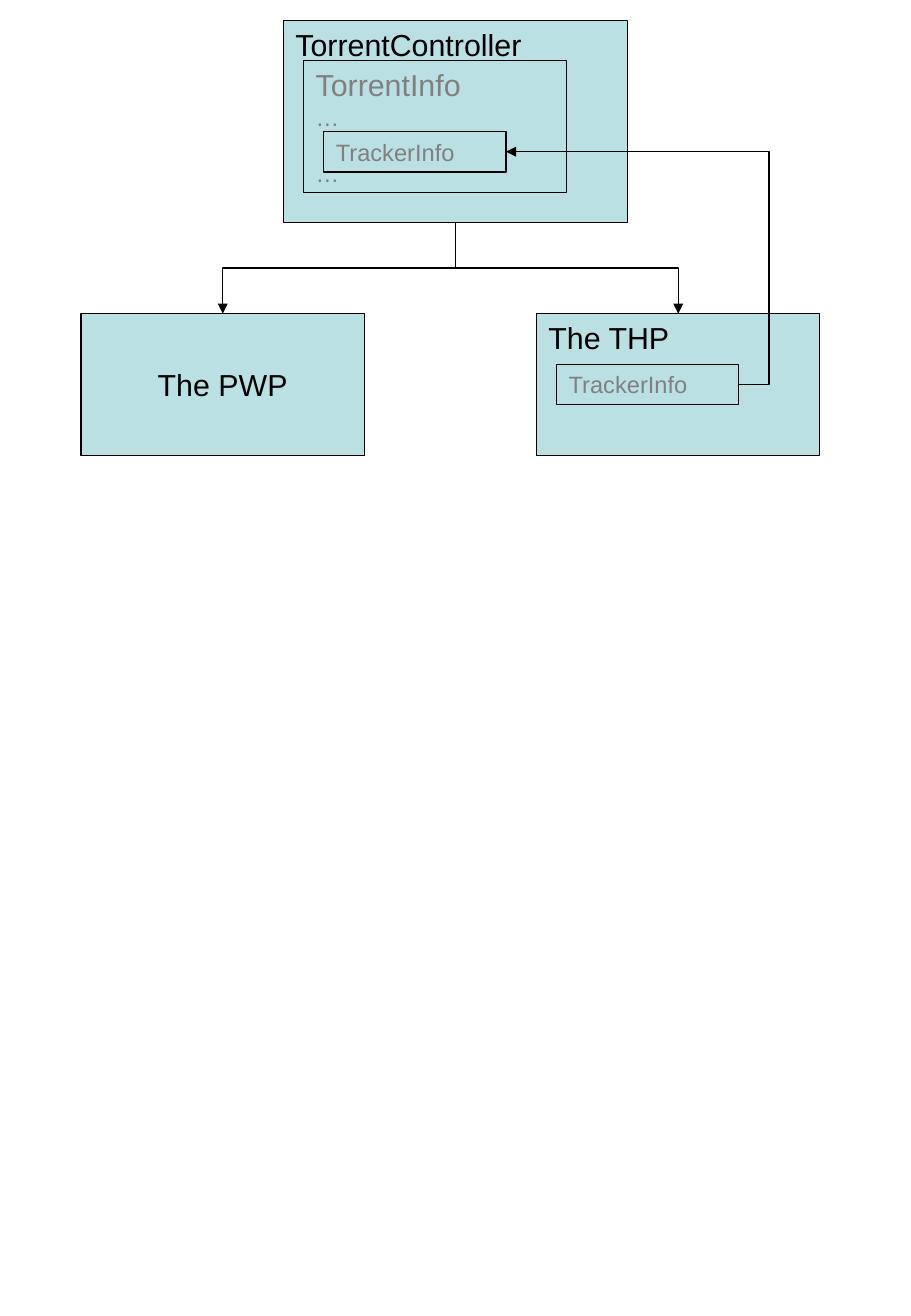
import dataclasses

import pptx
import pptx.dml.color
import pptx.enum.shapes
import pptx.enum.text
import pptx.oxml.ns
import pptx.util
from lxml import etree

Pt = pptx.util.Pt
RGB = pptx.dml.color.RGBColor
Align = pptx.enum.text.PP_ALIGN
Anchor = pptx.enum.text.MSO_ANCHOR
qn = pptx.oxml.ns.qn
TOP, BOTTOM, RIGHT = 0, 2, 3  # connection sites of a rectangle


@dataclasses.dataclass(frozen=True)
class Theme:
    font: str = "Arial"
    fill: RGB = RGB(0xBB, 0xE0, 0xE3)
    ink: RGB = RGB(0, 0, 0)
    gray: RGB = RGB(0x80, 0x80, 0x80)
    large: int = 18
    small: int = 14
    line: float = 0.75


THEME = Theme()


def apply(target, values):
    for name, value in values.items():
        setattr(target, name, value)


def stroke(line):
    line.color.rgb = THEME.ink
    line.width = Pt(THEME.line)


def write(para, text, size, color, **form):
    para.text = text
    apply(para, {"alignment": Align.LEFT, **form})
    font = para.runs[0].font
    apply(font, {"name": THEME.font, "size": Pt(size)})
    font.color.rgb = color


def box(slide, place, text, size=THEME.large, color=THEME.ink,
        anchor=Anchor.TOP, align=Align.LEFT):
    kind = pptx.enum.shapes.MSO_SHAPE.RECTANGLE
    shape = slide.shapes.add_shape(kind, *map(Pt, place))
    shape.shadow.inherit = False
    shape.fill.solid()
    shape.fill.fore_color.rgb = THEME.fill
    stroke(shape.line)
    frame = shape.text_frame
    apply(frame, {"word_wrap": True, "vertical_anchor": anchor})
    write(frame.paragraphs[0], text, size, color, alignment=align)
    return shape


def link(slide, start, out, end, into, bend):
    """Join two boxes with an elbow arrow; bend is the share of the way."""
    kind = pptx.enum.shapes.MSO_CONNECTOR.ELBOW
    wire = slide.shapes.add_connector(kind, 0, 0, 0, 0)
    wire.begin_connect(start, out)
    wire.end_connect(end, into)
    stroke(wire.line)
    props = wire._element.spPr
    etree.SubElement(props.find(qn("a:ln")), qn("a:tailEnd"), type="triangle")
    etree.SubElement(props, qn("a:effectLst"))
    guides = props.find(qn("a:prstGeom")).get_or_add_avLst()
    etree.SubElement(guides, qn("a:gd"), name="adj1",
                     fmla=f"val {round(bend * 100000)}")
    return wire


def drop(slide, start, end):
    """Link from a bottom edge down to a top edge, leaving vertically."""
    wire = link(slide, start, BOTTOM, end, TOP, 0.5)
    run = wire.end_x - wire.begin_x
    rise = wire.end_y - wire.begin_y
    mid_x = (wire.begin_x + wire.end_x) // 2
    mid_y = (wire.begin_y + wire.end_y) // 2
    apply(wire, {"left": mid_x - rise // 2, "top": mid_y - abs(run) // 2,
                 "width": rise, "height": abs(run)})
    frame = wire._element.spPr.find(qn("a:xfrm"))
    frame.set("rot", "16200000" if run > 0 else "5400000")
    frame.set("flipH", "1" if run > 0 else "0")


def main():
    deck = pptx.Presentation()
    apply(deck, {"slide_width": Pt(540), "slide_height": Pt(780.48)})
    slide = deck.slides.add_slide(deck.slide_layouts[6])

    torrent = box(slide, (168, 12, 204, 120), "TorrentController")
    thp = box(slide, (318, 186, 168, 84), "The THP")
    pwp = box(slide, (48, 186, 168, 84), "The PWP",
              anchor=Anchor.MIDDLE, align=Align.CENTER)

    info = box(slide, (180, 36, 156, 78), "TorrentInfo", color=THEME.gray)
    for gap in (0, 16.1):
        write(info.text_frame.add_paragraph(), "…", THEME.small, THEME.gray,
              space_before=Pt(gap))

    source, target = [
        box(slide, (left, top, 108, 24), "TrackerInfo", THEME.small,
            THEME.gray, Anchor.MIDDLE)
        for left, top in ((330, 216), (192, 78))]

    for part in (thp, pwp):
        drop(slide, torrent, part)
    link(slide, source, RIGHT, target, RIGHT, -0.13)
    deck.save("out.pptx")


if __name__ == "__main__":
    main()
